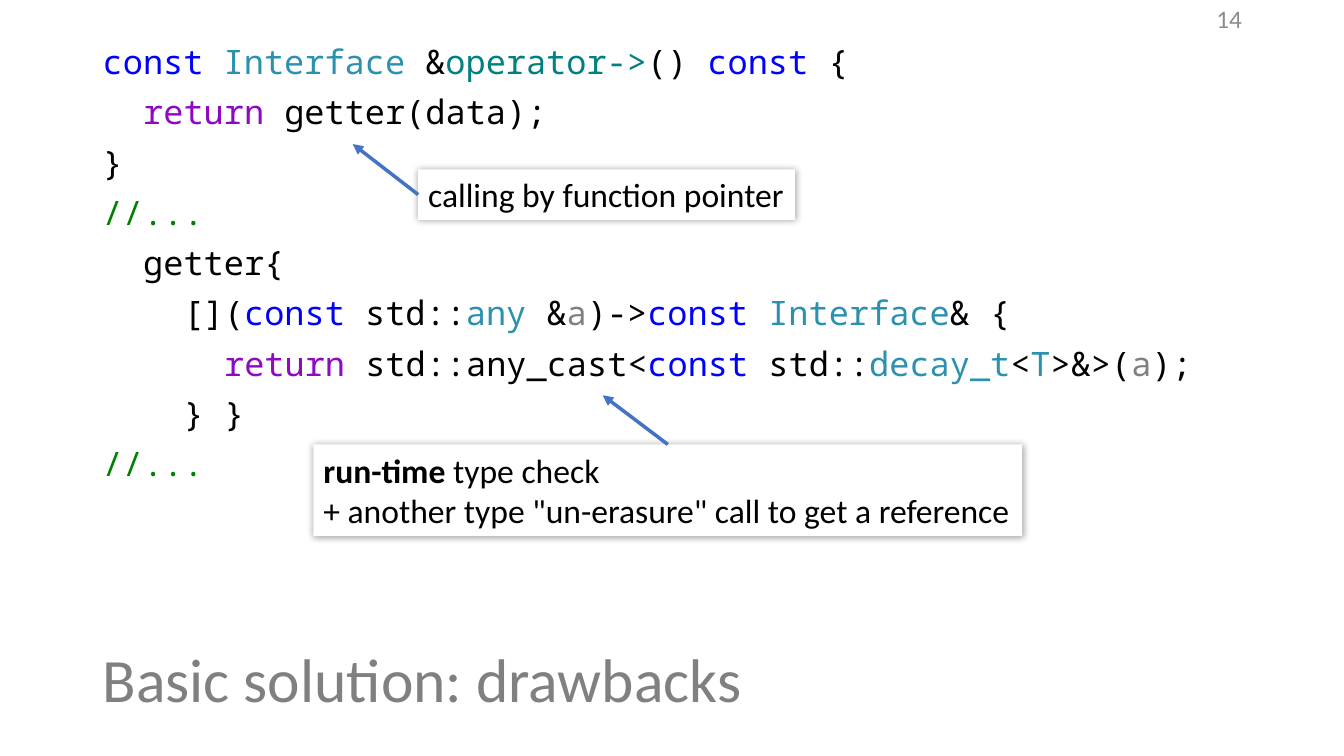
from dataclasses import dataclass

from lxml import etree
from pptx import Presentation
from pptx import util as u
from pptx.dml.color import RGBColor
from pptx.enum import shapes, text
from pptx.oxml import ns, parse_xml


@dataclass(frozen=True)
class Theme:
    body_font: str = "Calibri"
    code_font: str = "Noto Sans Mono"
    title_size: int = 44
    text_size: int = 24
    number_size: int = 18
    plain: str = "000000"
    keyword: str = "0000FF"
    flow: str = "8F08C4"
    type_name: str = "2B91AF"
    operator: str = "008080"
    comment: str = "008000"
    muted: str = "808080"
    number: str = "8C8C8C"
    paper: str = "FFFFFF"
    arrow: str = "4472C4"


@dataclass(frozen=True)
class Box:
    left: float
    top: float
    width: float
    height: float

    def lengths(self) -> list[u.Cm]:
        return [u.Cm(value) for value in (self.left, self.top, self.width, self.height)]


@dataclass(frozen=True)
class Run:
    text: str
    color: str = "000000"
    bold: bool = False


@dataclass(frozen=True)
class CodeLine:
    depth: int
    runs: tuple[Run, ...]


@dataclass(frozen=True)
class Callout:
    box: Box
    lines: tuple[tuple[Run, ...], ...]
    side: int
    tip: tuple[float, float]


THEME = Theme()
INDENT = 1.02  # two monospaced characters, in cm

CONST = Run("const", THEME.keyword)
RETURN = Run("return", THEME.flow)
INTERFACE = Run("Interface", THEME.type_name)
ARGUMENT = Run("a", THEME.muted)
ELLIPSIS = CodeLine(0, (Run("//...", THEME.comment),))

CODE = (
    CodeLine(0, (CONST, Run(" "), INTERFACE, Run(" &"), Run("operator->", THEME.operator),
                 Run("() "), CONST, Run(" {"))),
    CodeLine(1, (RETURN, Run(" getter(data);"))),
    CodeLine(0, (Run("}"),)),
    ELLIPSIS,
    CodeLine(1, (Run("getter{"),)),
    CodeLine(2, (Run("[]("), CONST, Run(" std::"), Run("any", THEME.type_name), Run(" &"),
                 ARGUMENT, Run(")->"), CONST, Run(" "), INTERFACE, Run("& {"))),
    CodeLine(3, (RETURN, Run(" std::any_cast<"), CONST, Run(" std::"),
                 Run("decay_t", THEME.type_name), Run("<"), Run("T", THEME.type_name),
                 Run(">&>("), ARGUMENT, Run(");"))),
    CodeLine(2, (Run("} }"),)),
    ELLIPSIS,
)

CALLOUTS = (
    Callout(Box(10.54, 4.27, 9.5, 1.27), ((Run("calling by function pointer"),),),
            side=1, tip=(8.89, 3.63)),
    Callout(Box(7.9, 11.2, 17.86, 2.31),
            ((Run("run-time", bold=True), Run(" type check")),
             (Run('+ another type "un-erasure" call to get a reference'),)),
            side=0, tip=(15.19, 9.96)),
)


def add_runs(paragraph, runs: tuple[Run, ...], font: str, size: int) -> None:
    paragraph.font.name = font
    paragraph.font.size = u.Pt(size)
    for item in runs:
        run = paragraph.add_run()
        run.text = item.text
        run.font.color.rgb = RGBColor.from_string(item.color)
        if item.bold:
            run.font.bold = True


def add_text_box(slide, box: Box, anchor: text.MSO_ANCHOR):
    frame = slide.shapes.add_textbox(*box.lengths()).text_frame
    frame.word_wrap = True
    frame.vertical_anchor = anchor
    return frame


def next_paragraph(frame, index: int):
    return frame.add_paragraph() if index else frame.paragraphs[0]


def add_label(slide, box: Box, run: Run, size: int, align: text.PP_ALIGN) -> None:
    paragraph = add_text_box(slide, box, text.MSO_ANCHOR.MIDDLE).paragraphs[0]
    paragraph.alignment = align
    paragraph.line_spacing = 0.9
    add_runs(paragraph, (run,), THEME.body_font, size)


def add_code(slide, box: Box) -> None:
    frame = add_text_box(slide, box, text.MSO_ANCHOR.TOP)
    for index, line in enumerate(CODE):
        paragraph = next_paragraph(frame, index)
        paragraph.line_spacing = 0.9
        paragraph.space_before = u.Pt(10)
        properties = paragraph._p.get_or_add_pPr()
        properties.set("marL", str(u.Cm(line.depth * INDENT)))
        properties.set("indent", "0")
        add_runs(paragraph, line.runs, THEME.code_font, THEME.text_size)


def add_glow_shadow(shape) -> None:
    shape.shadow.inherit = False
    effects = shape._element.spPr.find(ns.qn("a:effectLst"))
    effects.append(parse_xml(
        f'<a:outerShdw {ns.nsdecls("a")} blurRad="{u.Pt(5)}" dist="0" dir="0" algn="ctr" '
        f'rotWithShape="0"><a:srgbClr val="{THEME.plain}"><a:alpha val="40000"/>'
        '</a:srgbClr></a:outerShdw>'))


def add_callout(slide, callout: Callout) -> None:
    shape = slide.shapes.add_shape(shapes.MSO_SHAPE.RECTANGLE, *callout.box.lengths())
    shape.fill.solid()
    shape.fill.fore_color.rgb = RGBColor.from_string(THEME.paper)
    shape.line.fill.background()
    add_glow_shadow(shape)
    frame = shape.text_frame
    frame.word_wrap = False
    frame.auto_size = text.MSO_AUTO_SIZE.SHAPE_TO_FIT_TEXT
    frame.vertical_anchor = text.MSO_ANCHOR.TOP
    for index, runs in enumerate(callout.lines):
        paragraph = next_paragraph(frame, index)
        paragraph.alignment = text.PP_ALIGN.LEFT
        add_runs(paragraph, runs, THEME.body_font, THEME.text_size)

    # Arrow from the callout to the code
    tip = [u.Cm(value) for value in callout.tip]
    arrow = slide.shapes.add_connector(shapes.MSO_CONNECTOR.STRAIGHT, *tip, *tip)
    arrow.begin_connect(shape, callout.side)
    arrow.end_x, arrow.end_y = tip
    arrow.line.color.rgb = RGBColor.from_string(THEME.arrow)
    arrow.line.width = u.Pt(2.5)
    etree.SubElement(arrow.line._get_or_add_ln(), ns.qn("a:tailEnd"), type="triangle")
    etree.SubElement(arrow._element.spPr, ns.qn("a:effectLst"))


def main() -> None:
    presentation = Presentation()
    presentation.slide_width = u.Cm(33.87)
    presentation.slide_height = u.Cm(19.05)
    slide = presentation.slides.add_slide(presentation.slide_layouts[6])

    # Title and slide number
    add_label(slide, Box(2.34, 15.37, 29.21, 3.68),
              Run("Basic solution: drawbacks", THEME.muted),
              THEME.title_size, text.PP_ALIGN.LEFT)
    add_label(slide, Box(23.93, 0, 7.62, 1.02), Run("14", THEME.number),
              THEME.number_size, text.PP_ALIGN.RIGHT)

    # Code listing
    add_code(slide, Box(2.34, 1.02, 29.21, 14.35))

    # Remarks on the code
    for callout in CALLOUTS:
        add_callout(slide, callout)

    presentation.save("out.pptx")


if __name__ == "__main__":
    main()
